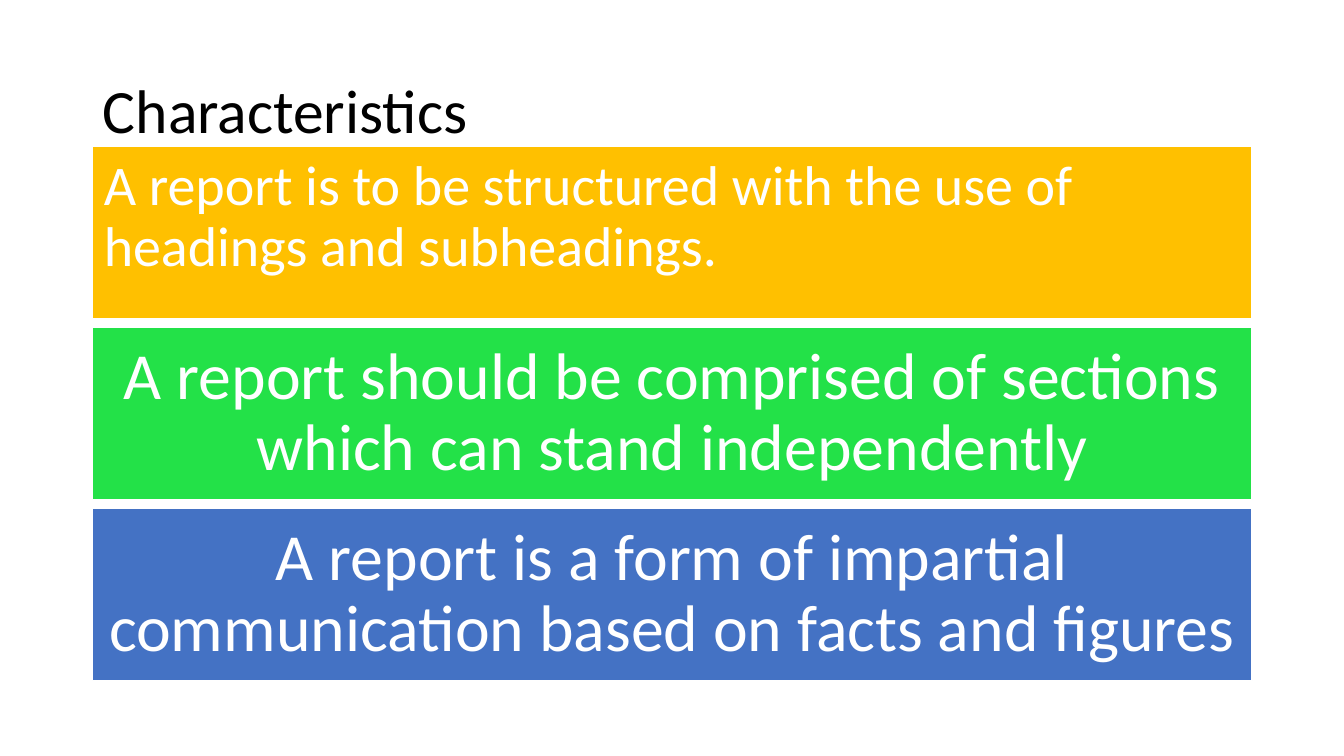
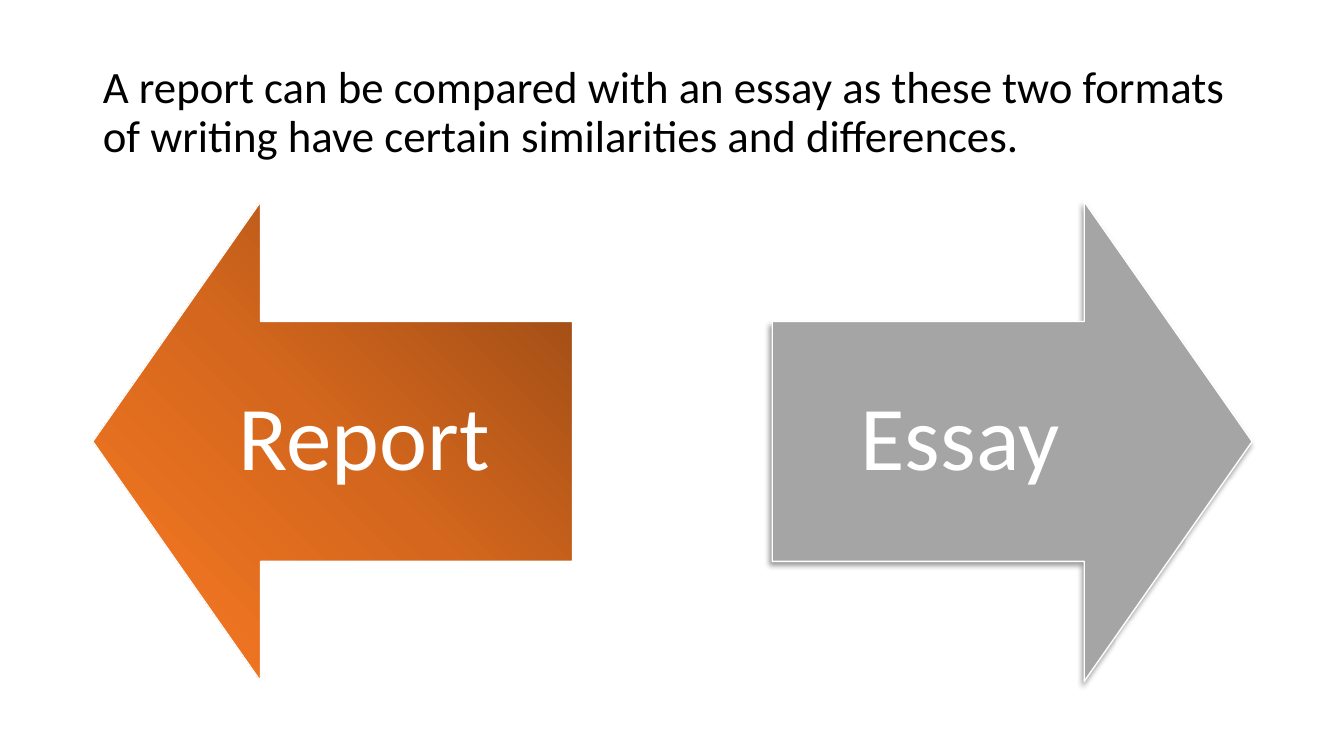
from dataclasses import dataclass

from lxml import etree
from pptx import Presentation
from pptx.dml.color import RGBColor
from pptx.enum.shapes import MSO_SHAPE as Shape
from pptx.enum.text import MSO_ANCHOR as Anchor, MSO_AUTO_SIZE as AutoSize, PP_ALIGN as Align
from pptx.oxml import parse_xml
from pptx.oxml.ns import nsdecls, qn
from pptx.util import Inches, Pt

COLORS = {
    "black": "000000",
    "white": "FFFFFF",
    "amber": "FFC000",
    "green": "23E148",
    "blue": "4472C4",
    "gray": "A5A5A5",
    "rust": "954815",
    "copper": "D4671D",
    "orange": "FB7A23",
}
FONT = "Calibri"
LEFT, WIDTH = 0.92, 11.5
BAND_TOP, BAND_BOTTOM, BAND_HEIGHT = 1.45, 6.75, 1.71
ARROW_TOP, ARROW_SIZE = 2, 4.76
ARROW_STOPS = ((0, "rust"), (50, "copper"), (100, "orange"))


@dataclass(frozen=True)
class Band:
    text: str
    color: str
    size: int = 47
    inset: float = 0.13
    align: Align = Align.CENTER
    anchor: Anchor = Anchor.MIDDLE


@dataclass(frozen=True)
class Arrow:
    text: str
    kind: Shape
    left: float
    color: str


BANDS = (
    Band("A report is to be structured with the use of headings and subheadings.",
         "amber", 40, 0.11, Align.LEFT, Anchor.TOP),
    Band("A report should be comprised of sections which can stand independently", "green"),
    Band("A report is a form of impartial communication based on facts and figures", "blue"),
)
REPORT = Arrow("Report ", Shape.LEFT_ARROW, LEFT, "copper")
ESSAY = Arrow("Essay ", Shape.RIGHT_ARROW, LEFT + WIDTH - ARROW_SIZE, "gray")


def rgb(name: str) -> RGBColor:
    return RGBColor.from_string(COLORS[name])


def write(box, text: str, size: int, color: str, align: Align, anchor: Anchor) -> None:
    frame = box.text_frame
    frame.text = text
    frame.word_wrap = True
    frame.auto_size = AutoSize.NONE
    frame.vertical_anchor = anchor
    para = frame.paragraphs[0]
    para.alignment = align
    para.line_spacing = 0.9
    font = para.runs[0].font
    font.name, font.size, font.color.rgb = FONT, Pt(size), rgb(color)


def add_page(deck, title: str, size: int):
    page = deck.slides.add_slide(deck.slide_layouts.get_by_name("Title Only"))
    box = page.shapes.title
    box.left, box.top = Inches(LEFT), Inches(0.4)
    box.width, box.height = Inches(WIDTH), Inches(1.45)
    write(box, title, size, "black", Align.LEFT, Anchor.MIDDLE)
    return page


def add_filled_shape(page, kind: Shape, left: float, top: float, width: float,
                     height: float, color: str, inset: float):
    shape = page.shapes.add_shape(kind, Inches(left), Inches(top), Inches(width), Inches(height))
    shape.shadow.inherit = False
    shape.fill.solid()
    shape.fill.fore_color.rgb = rgb(color)
    shape.line.color.rgb = rgb("white")
    shape.line.width = Pt(1)
    frame = shape.text_frame
    frame.margin_left = frame.margin_right = Inches(inset)
    frame.margin_top = frame.margin_bottom = Inches(inset)
    return shape


def add_bands(page) -> None:
    """Spread the bands evenly between the top and bottom limits."""
    pitch = (BAND_BOTTOM - BAND_TOP - BAND_HEIGHT) / (len(BANDS) - 1)
    for index, band in enumerate(BANDS):
        shape = add_filled_shape(page, Shape.RECTANGLE, LEFT, BAND_TOP + index * pitch,
                                 WIDTH, BAND_HEIGHT, band.color, band.inset)
        write(shape, band.text, band.size, "white", band.align, band.anchor)


def add_arrow(page, arrow: Arrow):
    shape = add_filled_shape(page, arrow.kind, arrow.left, ARROW_TOP,
                             ARROW_SIZE, ARROW_SIZE, arrow.color, 0.51)
    shape.adjustments[0], shape.adjustments[1] = 0.5, 0.35
    write(shape, arrow.text, 65, "white", Align.CENTER, Anchor.MIDDLE)
    return shape


def set_gradient(shape) -> None:
    """Replace the solid fill by one running from top right to bottom left."""
    stops = "".join(f'<a:gs pos="{place * 1000}"><a:srgbClr val="{COLORS[name]}"/></a:gs>'
                    for place, name in ARROW_STOPS)
    gradient = parse_xml(f'<a:gradFill {nsdecls("a")} rotWithShape="1"><a:gsLst>{stops}</a:gsLst>'
                         f'<a:lin ang="{135 * 60000}" scaled="0"/></a:gradFill>')
    properties = shape.element.spPr
    properties.replace(properties.find(qn("a:solidFill")), gradient)


def set_shadow(shape) -> None:
    effects = shape.element.spPr.find(qn("a:effectLst"))
    shadow = etree.SubElement(effects, qn("a:outerShdw"), blurRad=str(Pt(4)), dist=str(Pt(3)),
                              dir=str(135 * 60000), algn="tr", rotWithShape="0")
    color = etree.SubElement(shadow, qn("a:srgbClr"), val=COLORS["black"])
    etree.SubElement(color, qn("a:alpha"), val="40000")


def main() -> None:
    deck = Presentation()
    deck.slide_width, deck.slide_height = Inches(13.33), Inches(7.5)

    add_bands(add_page(deck, "Characteristics", 44))

    comparison = add_page(deck, "A report can be compared with an essay as these two formats "
                                "of writing have certain similarities and differences.", 32)
    set_gradient(add_arrow(comparison, REPORT))
    set_shadow(add_arrow(comparison, ESSAY))

    deck.save("out.pptx")


if __name__ == "__main__":
    main()
